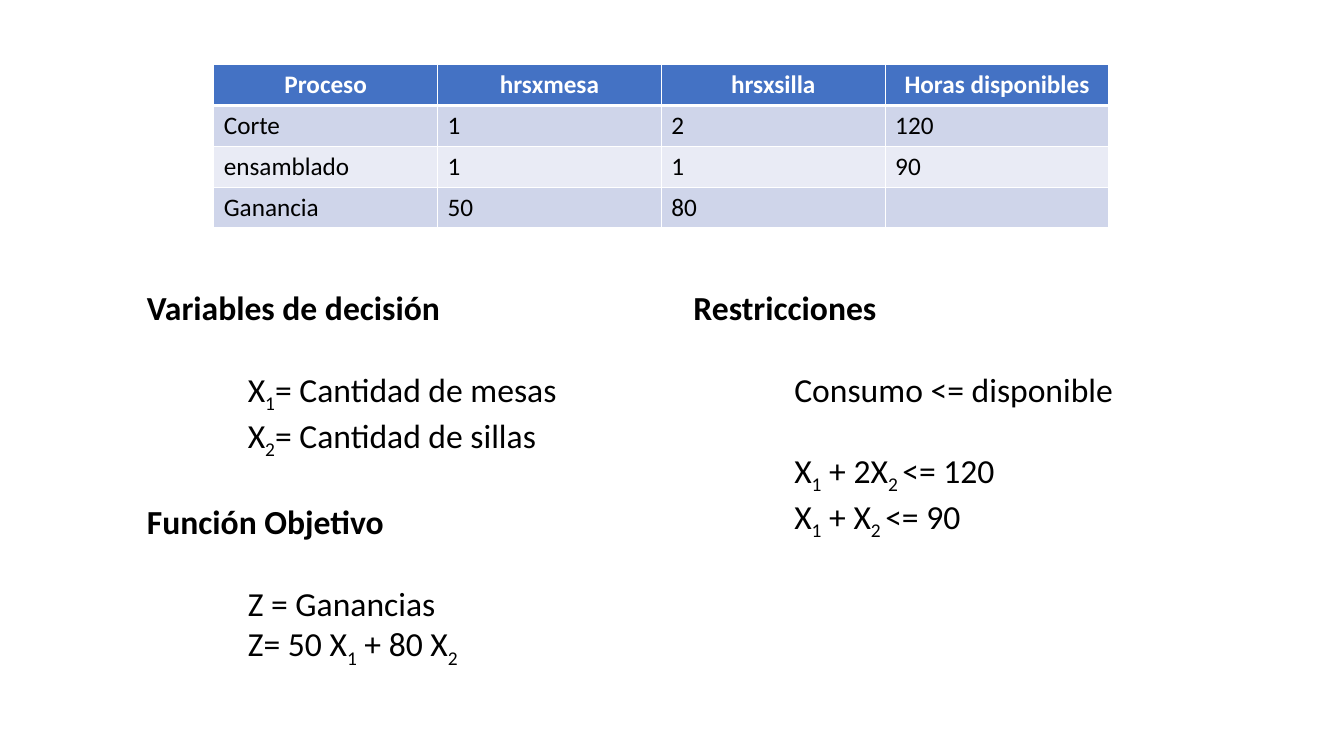
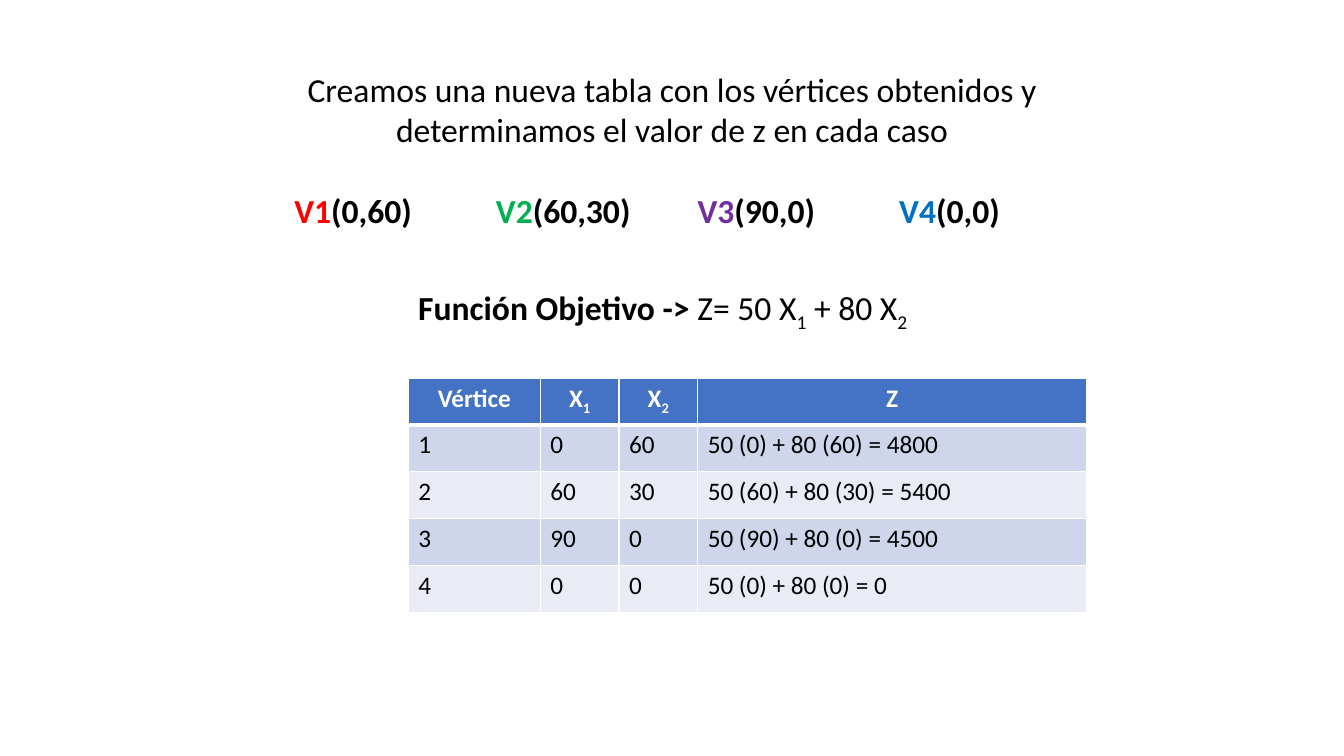
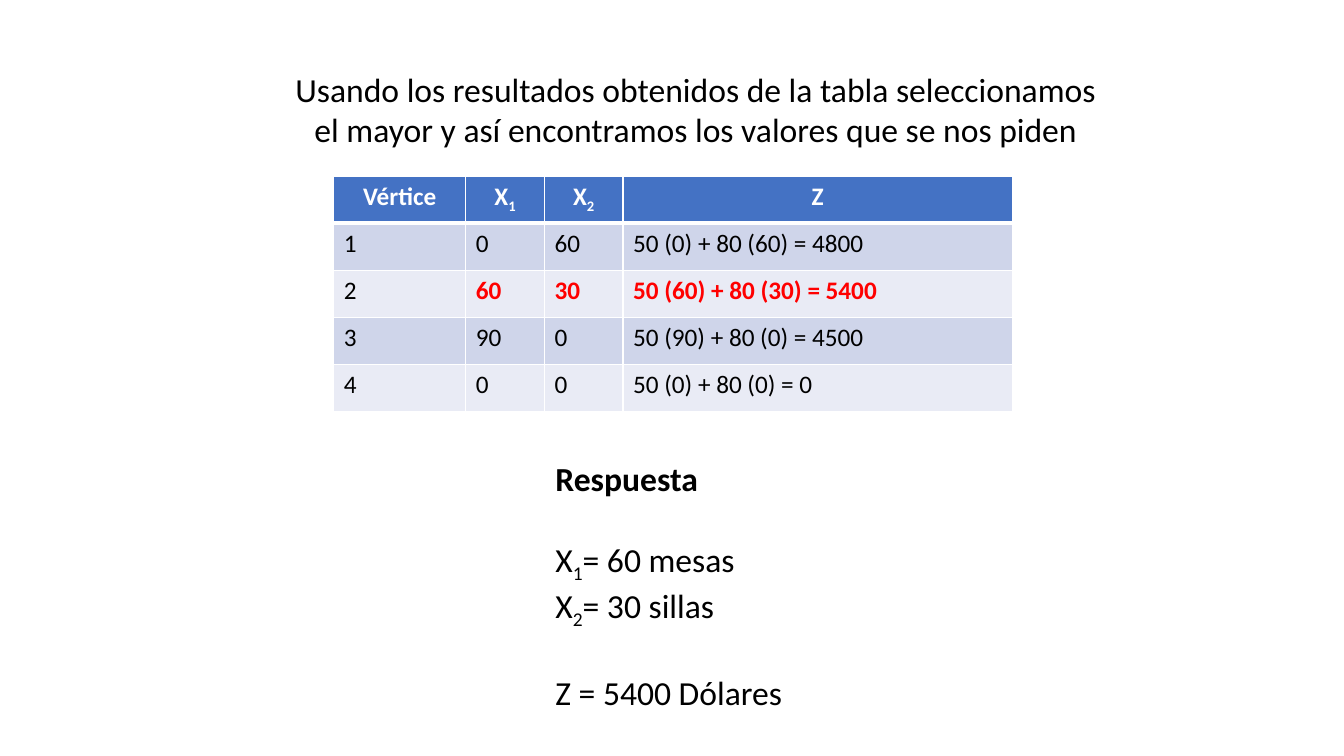
from lxml import etree
from pptx import Presentation
from pptx.dml.color import RGBColor
from pptx.enum.text import MSO_AUTO_SIZE, PP_ALIGN
from pptx.oxml.ns import qn
from pptx.util import Inches, Pt

CENTER = PP_ALIGN.CENTER
LEFT = PP_ALIGN.LEFT
GROW = MSO_AUTO_SIZE.SHAPE_TO_FIT_TEXT

FONT = "Calibri"
BLACK = RGBColor(0x00, 0x00, 0x00)
WHITE = RGBColor(0xFF, 0xFF, 0xFF)
RED = RGBColor(0xFF, 0x00, 0x00)
GREEN = RGBColor(0x00, 0xB0, 0x50)
PURPLE = RGBColor(0x70, 0x30, 0xA0)
BLUE = RGBColor(0x00, 0x70, 0xC0)
HEADER = RGBColor(0x44, 0x72, 0xC4)
BANDS = (RGBColor(0xCF, 0xD5, 0xEA), RGBColor(0xE9, 0xEB, 0xF5))

LINE_GAP = 29.3
THIN, THICK = 1, 3

PROCESS_ROWS = [
    ["Proceso", "hrsxmesa", "hrsxsilla", "Horas disponibles"],
    ["Corte", "1", "2", "120"],
    ["ensamblado", "1", "1", "90"],
    ["Ganancia", "50", "80", ""],
]
VERTEX_ROWS = [
    ["Vértice", "X~1~", "X~2~", "Z"],
    ["1", "0", "60", "50 (0) + 80 (60) = 4800"],
    ["2", "60", "30", "50 (60) + 80 (30) = 5400"],
    ["3", "90", "0", "50 (90) + 80 (0) = 4500"],
    ["4", "0", "0", "50 (0) + 80 (0) = 0"],
]
VERTEX_WIDTHS = [1.31, 0.78, 0.78, 3.86]
VERTEX_HEIGHT = 2.33
BEST_CELLS = {(2, 1), (2, 2), (2, 3)}
OBJECTIVE = "Z= 50 X~1~ + 80 X~2~"


def write(paragraph, text, size=24, color=BLACK, bold=False):
    """Text between tildes is set as subscript."""
    for index, part in enumerate(text.split("~")):
        if not part:
            continue
        span = paragraph.add_run()
        span.text = part
        font = span.font
        font.name, font.size, font.bold = FONT, Pt(size), bold
        font.color.rgb = color
        if index % 2:
            font._element.set("baseline", "-25000")


def add_box(page, left, top, width, height):
    box = page.shapes.add_textbox(Inches(left), Inches(top), Inches(width), Inches(height))
    frame = box.text_frame
    frame.word_wrap = True
    frame.auto_size = GROW
    return frame


def add_line(frame, text="", gap=False, indent=0, align=LEFT, **style):
    first = frame.paragraphs[0]
    paragraph = frame.add_paragraph() if first.runs else first
    paragraph.alignment = align
    if gap:
        paragraph.space_before = Pt(LINE_GAP)
    if indent:
        paragraph._p.get_or_add_pPr().set("marL", str(Inches(indent)))
    write(paragraph, text, **style)
    return paragraph


def add_tabs(paragraph, positions):
    tabs = etree.SubElement(paragraph._p.get_or_add_pPr(), qn("a:tabLst"))
    for position in positions:
        etree.SubElement(tabs, qn("a:tab"), pos=str(Inches(position)), algn="l")


def add_borders(cell, top, bottom):
    properties = cell._tc.get_or_add_tcPr()
    for side, width in (("L", THIN), ("R", THIN), ("T", top), ("B", bottom)):
        line = etree.SubElement(properties, qn("a:ln" + side), w=str(Pt(width)))
        fill = etree.SubElement(line, qn("a:solidFill"))
        etree.SubElement(fill, qn("a:srgbClr"), val=str(WHITE))


def add_grid(page, left, top, widths, height, rows, highlighted=()):
    table = page.shapes.add_table(
        len(rows), len(widths), Inches(left), Inches(top), Inches(sum(widths)), Inches(height)
    ).table
    for column, width in zip(table.columns, widths):
        column.width = Inches(width)
    for row_index, row in enumerate(rows):
        table.rows[row_index].height = Inches(height / len(rows))
        is_header = row_index == 0
        for column_index, text in enumerate(row):
            cell = table.cell(row_index, column_index)
            add_borders(
                cell,
                top=THICK if row_index == 1 else THIN,
                bottom=THICK if is_header else THIN,
            )
            cell.fill.solid()
            cell.fill.fore_color.rgb = HEADER if is_header else BANDS[(row_index - 1) % 2]
            marked = (row_index, column_index) in highlighted
            color = WHITE if is_header else RED if marked else BLACK
            add_line(
                cell.text_frame, text, align=CENTER if is_header else LEFT,
                size=18, color=color, bold=is_header or marked,
            )


def build_model(page):
    add_grid(page, 2.12, 0.64, [2.22] * 4, 1.62, PROCESS_ROWS)

    model = add_box(page, 1.36, 2.8, 5, 3.74)
    add_line(model, "Variables de decisión", bold=True)
    add_line(model, "X~1~= Cantidad de mesas", gap=True, indent=1)
    add_line(model, "X~2~= Cantidad de sillas", indent=1)
    add_line(model, "Función Objetivo", gap=True, bold=True)
    add_line(model, "Z = Ganancias", gap=True, indent=1)
    add_line(model, OBJECTIVE, indent=1)

    limits = add_box(page, 6.78, 2.8, 5, 2.93)
    add_line(limits, "Restricciones", bold=True)
    add_line(limits, "Consumo <= disponible", gap=True, indent=1)
    add_line(limits, "X~1~ + 2X~2 ~<= 120", gap=True, indent=1)
    add_line(limits, "X~1~ + X~2 ~<= 90", indent=1)


def build_vertices(page):
    intro = add_box(page, 2.82, 0.63, 7.69, 1.72)
    add_line(
        intro,
        "Creamos una nueva tabla con los vértices obtenidos y determinamos el valor de z en cada caso",
        align=CENTER,
    )
    vertices = add_line(intro, "V1", gap=True, color=RED, bold=True)
    add_tabs(vertices, [2, 4, 6])
    write(vertices, "(0,60)", bold=True)
    for name, point, color in (
        ("V2", "(60,30)", GREEN), ("V3", "(90,0)", PURPLE), ("V4", "(0,0)", BLUE),
    ):
        write(vertices, "\t" + name, color=color, bold=True)
        write(vertices, point, bold=True)

    add_grid(page, 4.05, 3.75, VERTEX_WIDTHS, VERTEX_HEIGHT, VERTEX_ROWS)

    objective = add_box(page, 4.05, 2.8, 5.24, 0.5)
    write(add_line(objective, "Función Objetivo -> ", bold=True), OBJECTIVE)


def build_answer(page):
    intro = add_box(page, 2.82, 0.63, 8.16, 0.91)
    add_line(
        intro,
        "Usando los resultados obtenidos de la tabla seleccionamos el mayor "
        "y así encontramos los valores que se nos piden",
        align=CENTER,
    )
    add_grid(page, 3.31, 1.75, VERTEX_WIDTHS, VERTEX_HEIGHT, VERTEX_ROWS, BEST_CELLS)

    answer = add_box(page, 5.41, 4.49, 2.51, 2.52)
    add_line(answer, "Respuesta", bold=True)
    add_line(answer, "X~1~= 60 mesas", gap=True)
    add_line(answer, "X~2~= 30 sillas")
    add_line(answer, "Z = 5400 Dólares", gap=True)


def main():
    deck = Presentation()
    deck.slide_width, deck.slide_height = Inches(13.33), Inches(7.5)
    for build in (build_model, build_vertices, build_answer):
        build(deck.slides.add_slide(deck.slide_layouts[6]))
    deck.save("out.pptx")


if __name__ == "__main__":
    main()
